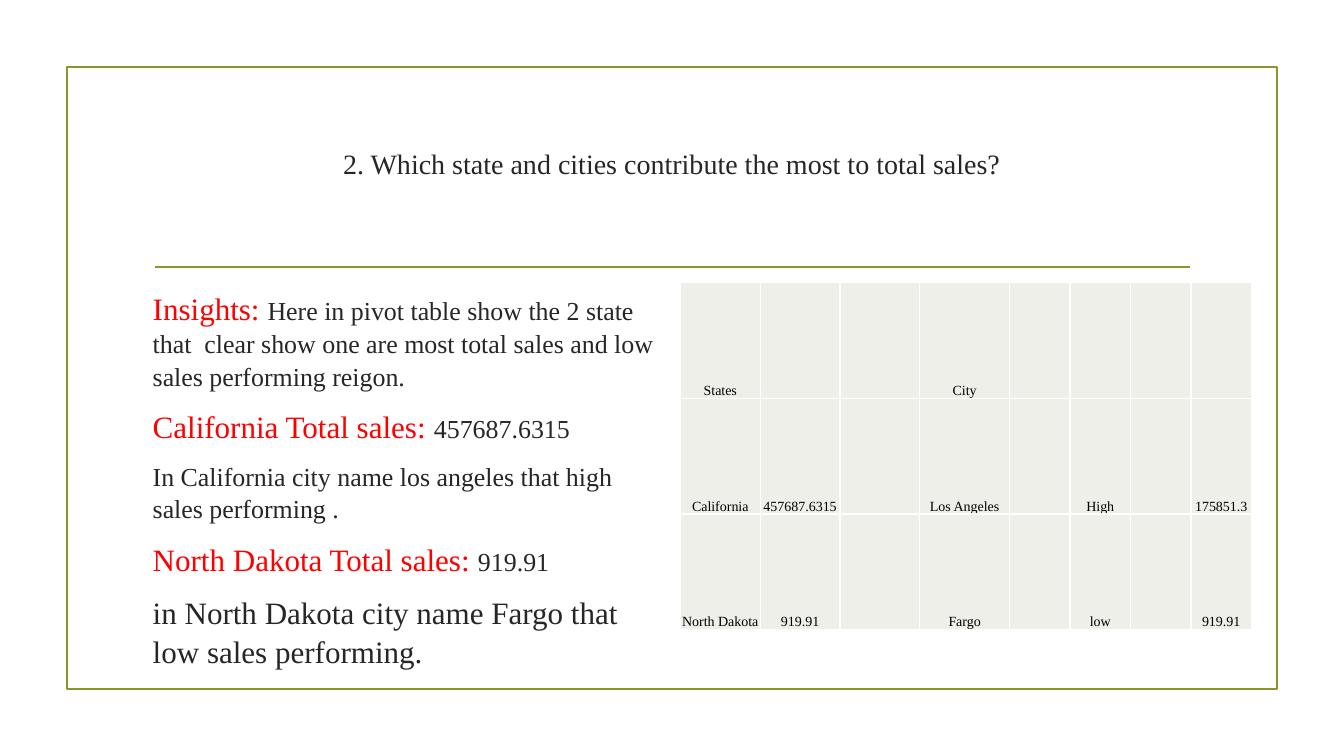
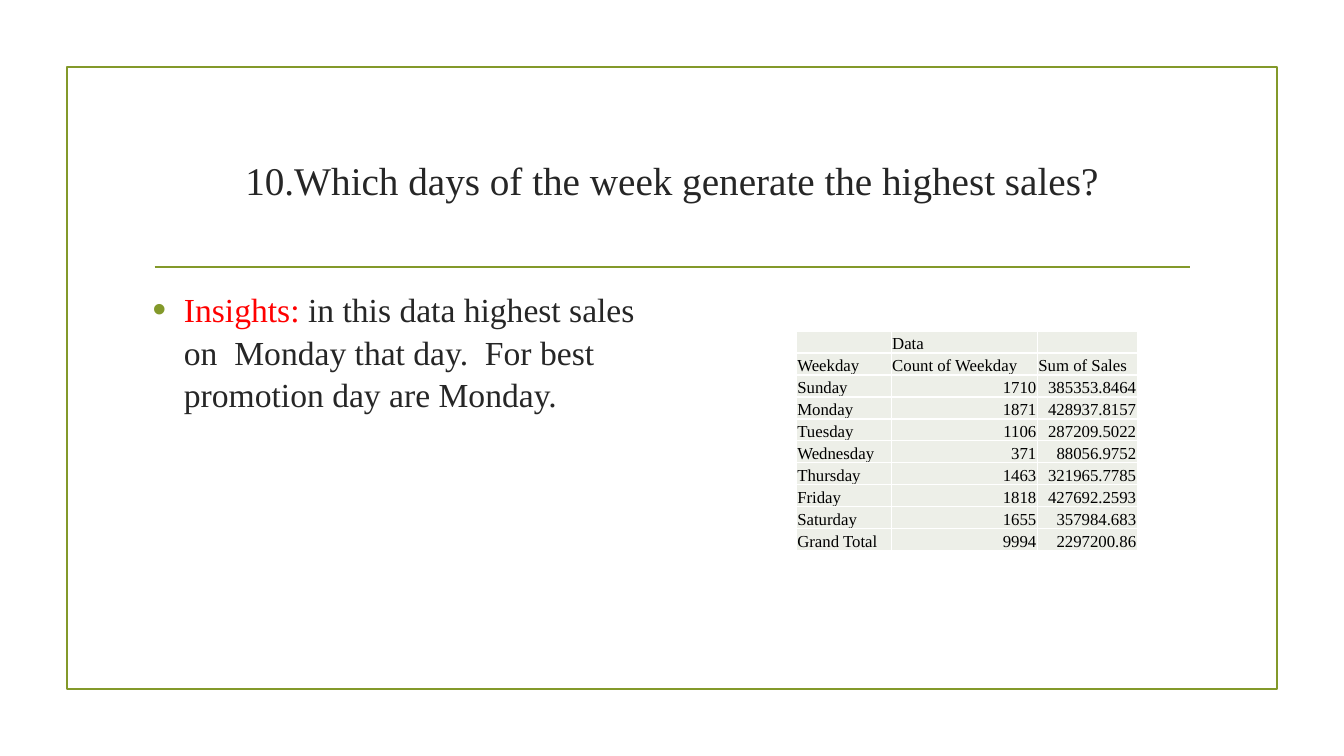
from lxml import etree
from pptx import Presentation
from pptx.dml.color import RGBColor
from pptx.enum.shapes import MSO_CONNECTOR, MSO_SHAPE
from pptx.enum.text import MSO_ANCHOR, PP_ALIGN
from pptx.oxml.ns import qn
from pptx.util import Inches, Pt

LEFT, CENTER, RIGHT = PP_ALIGN.LEFT, PP_ALIGN.CENTER, PP_ALIGN.RIGHT
TOP, MIDDLE, BOTTOM = MSO_ANCHOR.TOP, MSO_ANCHOR.MIDDLE, MSO_ANCHOR.BOTTOM
RECTANGLE, STRAIGHT = MSO_SHAPE.RECTANGLE, MSO_CONNECTOR.STRAIGHT

# Grid of 160 columns by 90 rows, twelve to the inch
COLUMNS, ROWS = 160, 90
FONT = "Times New Roman"
OLIVE, INK, RED = "83992A", "262626", "FF0000"
BLACK, WHITE, CELL_TINT = "000000", "FFFFFF", "EDEFE8"


def grid(steps):
    return round(Inches(1) / 12 * steps)


def color(hex_text):
    return RGBColor.from_string(hex_text)


def set_font(font, size, hex_text):
    font.name, font.size = FONT, Pt(size)
    font.color.rgb = color(hex_text)


def add_child(parent, tag, **attributes):
    return etree.SubElement(parent, qn(tag), attributes)


def add_frame(slide):
    """Olive border and the rule under the title."""
    border = slide.shapes.add_shape(RECTANGLE, *map(grid, (8, 8, 144, 74)))
    border.shadow.inherit = False
    border.fill.background()
    rule = slide.shapes.add_connector(STRAIGHT, *map(grid, (18.4, 31.8, 141.7, 31.8)))
    add_child(rule._element.spPr, "a:effectLst")
    for outline in (border.line, rule.line):
        outline.color.rgb = color(OLIVE)
        outline.width = Pt(1.25)


def add_text_frame(slide, left, top, width, height, anchor):
    frame = slide.shapes.add_textbox(*map(grid, (left, top, width, height))).text_frame
    frame.word_wrap = True
    frame.vertical_anchor = anchor
    return frame


def add_title(slide, question, size, lift=0):
    frame = add_text_frame(slide, 17, 12.8, 126, 17.2, MIDDLE)
    frame.margin_bottom += grid(lift)
    title = frame.paragraphs[0]
    title.text, title.alignment = question, CENTER
    set_font(title.font, size, INK)


def add_bullet(paragraph):
    properties = paragraph._p.get_or_add_pPr()
    indent = Inches(0.31)
    properties.set("marL", str(indent))
    properties.set("indent", str(-indent))
    add_child(add_child(properties, "a:buClr"), "a:srgbClr", val=OLIVE)
    add_child(properties, "a:buSzPct", val="115000")
    add_child(properties, "a:buFont", typeface="Arial")
    add_child(properties, "a:buChar", char="•")


def add_insights(slide, paragraphs, bulleted=False):
    """Each paragraph is a list of (text, size, color) runs."""
    frame = add_text_frame(slide, 17, 33.6, 62, 43.4, TOP)
    for index, parts in enumerate(paragraphs):
        paragraph = frame.add_paragraph() if index else frame.paragraphs[0]
        paragraph.line_spacing = 1.05
        paragraph.space_before = Pt(4 if index else 0)
        paragraph.space_after = Pt(6)
        if bulleted:
            add_bullet(paragraph)
        for text, size, hex_text in parts:
            run = paragraph.add_run()
            run.text = text
            set_font(run.font, size, hex_text)


def style_cell(cell, text, size, alignment):
    cell.margin_left = cell.margin_right = cell.margin_top = Inches(0.01)
    cell.margin_bottom = 0
    cell.vertical_anchor = BOTTOM
    properties = cell._tc.get_or_add_tcPr()
    for side in ("a:lnL", "a:lnR", "a:lnT", "a:lnB"):
        border = add_child(properties, side, w=str(Pt(1)))
        add_child(add_child(border, "a:solidFill"), "a:srgbClr", val=WHITE)
    cell.fill.solid()
    cell.fill.fore_color.rgb = color(CELL_TINT)
    paragraph = cell.text_frame.paragraphs[0]
    paragraph.text, paragraph.alignment = text, alignment
    set_font(paragraph.font, size, BLACK)
    if not text:  # keeps empty cells from stretching their row
        add_child(paragraph._p, "a:endParaRPr", sz=str(size * 100))


def add_pivot(slide, left, top, widths, row_height, rows, size, align):
    table = slide.shapes.add_table(
        len(rows), len(widths), grid(left), grid(top),
        grid(sum(widths)), grid(row_height * len(rows))).table
    table.first_row = table.horz_banding = False
    for column, width in zip(table.columns, widths):
        column.width = grid(width)
    for row_index, row in enumerate(rows):
        table.rows[row_index].height = grid(row_height)
        for column_index, text in enumerate(row):
            style_cell(table.cell(row_index, column_index), text, size, align(text))


def add_slide(deck):
    slide = deck.slides.add_slide(deck.slide_layouts[6])
    add_frame(slide)
    return slide


def build_states(deck):
    slide = add_slide(deck)
    add_title(slide, "2. Which state and cities contribute the most to total sales?", 20, lift=4)
    large, small = 22.2, 18.5
    add_insights(slide, [
        [("Insights: ", large, RED),
         ("Here in pivot table show the 2 state that  clear show one are most total sales "
          "and low sales performing reigon.", small, INK)],
        [("California Total sales: ", large, RED), ("457687.6315", small, INK)],
        [("In California city name los angeles that high sales performing .", small, INK)],
        [("North Dakota Total sales: ", large, RED), ("919.91", small, INK)],
        [("in North Dakota city name Fargo that low sales performing.", large, INK)],
    ])
    rows = [
        ("States", "", "", "City", "", "", "", ""),
        ("California", "457687.6315", "", "Los Angeles", "", "High", "", "175851.3"),
        ("North Dakota", "919.91", "", "Fargo", "", "low", "", "919.91"),
    ]
    widths = [9.5] * 3 + [10.7] + [7.2] * 4
    add_pivot(slide, 81, 33.6, widths, 13.8, rows, 10, lambda text: CENTER)


def build_weekdays(deck):
    slide = add_slide(deck)
    add_title(slide, "10.Which days of the week generate the highest sales?", 28)
    add_insights(slide, [
        [("Insights: ", 24, RED),
         ("in this data highest sales on  Monday that day.  "
          "For best promotion day are Monday.", 24, INK)],
    ], bulleted=True)
    rows = [
        ("", "Data", ""),
        ("Weekday", "Count of Weekday", "Sum of Sales"),
        ("Sunday", "1710", "385353.8464"),
        ("Monday", "1871", "428937.8157"),
        ("Tuesday", "1106", "287209.5022"),
        ("Wednesday", "371", "88056.9752"),
        ("Thursday", "1463", "321965.7785"),
        ("Friday", "1818", "427692.2593"),
        ("Saturday", "1655", "357984.683"),
        ("Grand Total", "9994", "2297200.86"),
    ]
    add_pivot(slide, 94.8, 39.4, [11.3, 17.4, 11.9], 2.62, rows, 12,
              lambda text: RIGHT if text[:1].isdigit() else LEFT)


def main():
    deck = Presentation()
    deck.slide_width, deck.slide_height = grid(COLUMNS), grid(ROWS)
    build_states(deck)
    build_weekdays(deck)
    deck.save("out.pptx")


if __name__ == "__main__":
    main()
